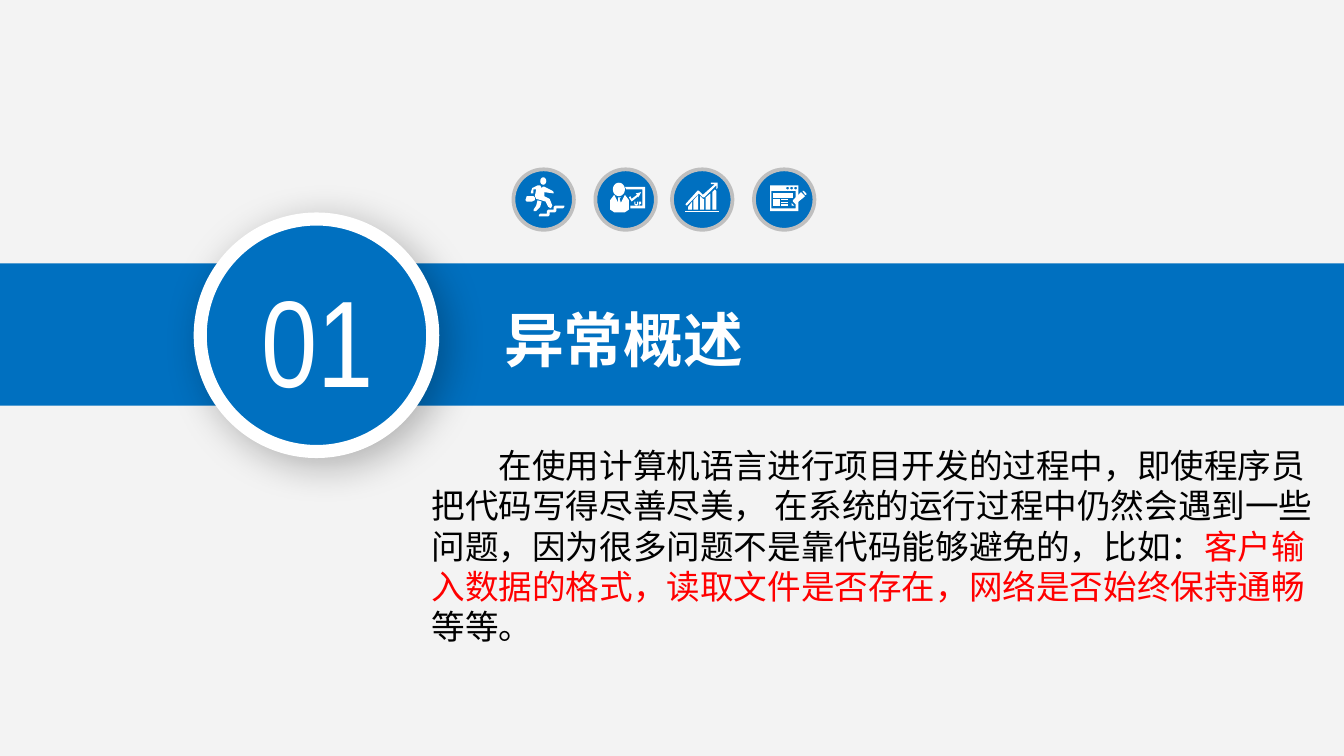
from math import cos, pi, sin

from lxml import etree
from pptx import Presentation
from pptx.dml.color import RGBColor
from pptx.enum.shapes import MSO_SHAPE as Shape
from pptx.enum.text import MSO_ANCHOR as Anchor, MSO_AUTO_SIZE as AutoSize, PP_ALIGN as Align
from pptx.oxml.ns import qn
from pptx.util import Inches, Pt

COLORS = {"background": "F3F3F3", "blue": "0070C0", "white": "FFFFFF",
          "ring": "BFBFBF", "black": "000000", "red": "FF0000"}
UNIT = Inches(0.01)


def color(name):
    return RGBColor.from_string(COLORS[name])


def rectangle(x, y, width, height):
    return [(x, y), (x + width, y), (x + width, y + height), (x, y + height)]


def oval(x, y, width, height, count=24):
    angles = [2 * pi * step / count for step in range(count)]
    return [(x + width / 2 * (1 + cos(angle)), y + height / 2 * (1 + sin(angle)))
            for angle in angles]


RUNNER = [
    [[(20, 33), (25, 33), (25, 31), (26, 30), (30, 30), (30, 28), (31, 27), (38, 27), (38, 28),
      (37, 29), (32, 29), (32, 31), (31, 32), (27, 32), (27, 34), (26, 35), (19, 35), (19, 34)]],
    [[(10, 24), (14, 24), (16, 23), (16, 21), (15, 20), (10, 20), (9, 23)]],
    [[(15, 30), (17, 27), (18, 23), (21, 24), (20, 28), (17, 31), (15, 31)]],
    [oval(20, 6, 4.5, 5.5)],
    [[(22, 13), (23, 13), (29, 16), (30, 17), (30, 18), (23, 17), (23, 20), (27, 22), (29, 27),
      (28, 29), (26, 28), (24, 24), (17, 22), (16, 20), (17, 15), (15, 15), (15, 18), (13, 18),
      (13, 17), (14, 14), (18, 12), (20, 12), (21, 14)]],
]
PRESENTER = [
    [[(22, 13), (23, 15), (35, 15), (35, 27), (26, 27), (26, 29), (37, 29), (37, 13)]],
    [oval(13, 10, 9, 10)],
    [[(26, 20), (25, 21), (27, 24), (32, 20), (32, 21), (34, 17), (30, 18), (31, 19), (27, 22)]],
    [[(22, 19), (19, 25), (18, 22), (19, 21), (17, 21), (17, 25), (14, 19), (11, 23), (11, 30),
      (14, 32), (22, 32), (25, 30), (25, 23)]],
    [[(29, 24), (29, 26), (30, 27), (31, 27), (31.7, 26), (31.7, 24), (31, 24), (31, 26),
      (29.7, 26), (29.7, 24)]],
    [[(32.3, 24), (34, 24), (34, 26), (33, 26), (33, 27), (32.3, 27)]],
]
CHART = [
    [rectangle(10, 31, 25, 1)],
    [[(12, 30), (15, 30), (15, 24), (12, 28)]],
    [[(16, 30), (19.5, 30), (19.5, 19), (16, 23)]],
    [[(21, 30), (24, 30), (24, 22), (23, 22), (21, 20)]],
    [[(25, 30), (28.5, 30), (28.5, 18), (25, 21)]],
    [[(30, 30), (33, 30), (33, 16), (32, 15), (30, 17)]],
    [[(11, 27), (20, 18), (23, 21), (24, 21), (33, 12), (33, 15), (34, 14), (34, 10), (29, 10),
      (29, 11), (32, 11), (23, 19), (20, 16), (19, 16), (10, 26)]],
]
BROWSER = [
    [rectangle(12, 12, 21, 19), rectangle(13, 16, 18, 13),
     *[oval(x, 13, 2, 2) for x in (24, 27, 30)]],
    [rectangle(14, 18, 15, 3)],
    [rectangle(14, 22, 5, 5)],
    *[[rectangle(20, y, 5, 1)] for y in (22, 24, 26)],
    [[(28, 25), (28, 27), (30, 27)]],
    [[(38, 19), (39, 19), (39, 18), (37, 16), (36, 16)]],
    [[(35, 17), (29, 23), (29, 24), (31, 26), (32, 25), (38, 20)]],
]


def paint(shape, fill, line=None, width=0):
    shape.shadow.inherit = False
    shape.fill.solid()
    shape.fill.fore_color.rgb = color(fill)
    if line:
        shape.line.color.rgb = color(line)
        shape.line.width = Pt(width)
    else:
        shape.line.fill.background()


def place(shape, left, top, width, height):
    shape.left, shape.top = Inches(left), Inches(top)
    shape.width, shape.height = Inches(width), Inches(height)


def add_icon(slide, left, top, size, outlines):
    group = slide.shapes.add_group_shape()
    disc = group.shapes.add_shape(Shape.OVAL, Inches(left), Inches(top), Inches(size), Inches(size))
    paint(disc, "blue", "ring", 2)
    for contours in outlines:
        scaled = [[(x * 10, y * 10) for x, y in contour] for contour in contours]
        builder = group.shapes.build_freeform(*scaled[0][0], scale=UNIT / 10)
        builder.add_line_segments(scaled[0][1:], close=True)
        for contour in scaled[1:]:
            builder.move_to(*contour[0])
            builder.add_line_segments(contour[1:], close=True)
        paint(builder.convert_to_shape(Inches(left), Inches(top)), "white")


def add_band(slide, left, top, width, height):
    band = slide.shapes.add_shape(Shape.RECTANGLE, Inches(left), Inches(top),
                                  Inches(width), Inches(height))
    paint(band, "blue")
    title = slide.shapes.title
    slide.shapes.element.append(title.element)
    place(title, left + 3.65, top + 0.24, 3.94, 0.64)
    frame = title.text_frame
    frame.text = "异常概述"
    frame.auto_size = AutoSize.NONE
    frame.vertical_anchor = Anchor.MIDDLE
    paragraph = frame.paragraphs[0]
    paragraph.alignment = Align.LEFT
    font = paragraph.runs[0].font
    font.name, font.size, font.bold = "Noto Sans CJK SC", Pt(32), True
    font.color.rgb = color("white")
    etree.SubElement(paragraph.runs[0]._r.rPr, qn("a:ea"), typeface="Noto Sans CJK SC")


def add_number(slide, left, top, size):
    group = slide.shapes.add_group_shape()
    disc = group.shapes.add_shape(Shape.OVAL, Inches(left), Inches(top), Inches(size), Inches(size))
    paint(disc, "blue", "white", 7)
    effects = disc.element.spPr.find(qn("a:effectLst"))
    shadow = etree.SubElement(effects, qn("a:outerShdw"), blurRad=str(Pt(22)), dist=str(Pt(6)),
                              dir="2700000", algn="tl", rotWithShape="0")
    shade = etree.SubElement(shadow, qn("a:srgbClr"), val=COLORS["black"])
    etree.SubElement(shade, qn("a:alpha"), val="28000")
    label = group.shapes.add_textbox(Inches(left + 0.22), Inches(top + 0.3),
                                     Inches(1.31), Inches(1.19))
    frame = label.text_frame
    frame.word_wrap = True
    frame.margin_left = frame.margin_right = Inches(0.07)
    frame.margin_top = frame.margin_bottom = Inches(0.04)
    paragraph = frame.paragraphs[0]
    paragraph.text = "01"
    paragraph.alignment = Align.CENTER
    paragraph.font.name, paragraph.font.size = "Arial Narrow", Pt(66)
    paragraph.font.color.rgb = color("white")


def add_description(slide, left, top, width, height):
    body = slide.placeholders[1]
    slide.shapes.element.append(body.element)
    place(body, left, top, width, height)
    frame = body.text_frame
    frame.auto_size = AutoSize.NONE
    paragraph = frame.paragraphs[0]
    paragraph.space_before = Pt(0)
    paragraph.font.name, paragraph.font.size = "Calibri", Pt(18)
    properties = paragraph._p.get_or_add_pPr()
    properties.set("marL", "0")
    properties.set("indent", str(Inches(0.5)))
    properties.insert_element_before(etree.Element(qn("a:buNone")), "a:tabLst", "a:defRPr")
    for text, name in [
        ("在使用计算机语言进行项目开发的过程中，即使程序员把代码写得尽善尽美， "
         "在系统的运行过程中仍然会遇到一些问题，因为很多问题不是靠代码能够避免的，比如：", "black"),
        ("客户输入数据的格式，读取文件是否存在，网络是否始终保持通畅", "red"),
        ("等等。", "black"),
    ]:
        run = paragraph.add_run()
        run.text = text
        run.font.color.rgb = color(name)


def main():
    presentation = Presentation()
    presentation.slide_width = Inches(10)
    presentation.slide_height = presentation.slide_width * 9 // 16
    slide = presentation.slides.add_slide(presentation.slide_layouts[1])
    slide.background.fill.solid()
    slide.background.fill.fore_color.rgb = color("background")
    add_band(slide, 0, 1.96, 10, 1.06)
    for left, outlines in [(3.82, RUNNER), (4.43, PRESENTER), (5, CHART), (5.61, BROWSER)]:
        add_icon(slide, left, 1.26, 0.45, outlines)
    add_number(slide, 1.49, 1.63, 1.73)
    add_description(slide, 3.11, 3.26, 6.77, 1.62)
    presentation.save("out.pptx")


if __name__ == "__main__":
    main()
